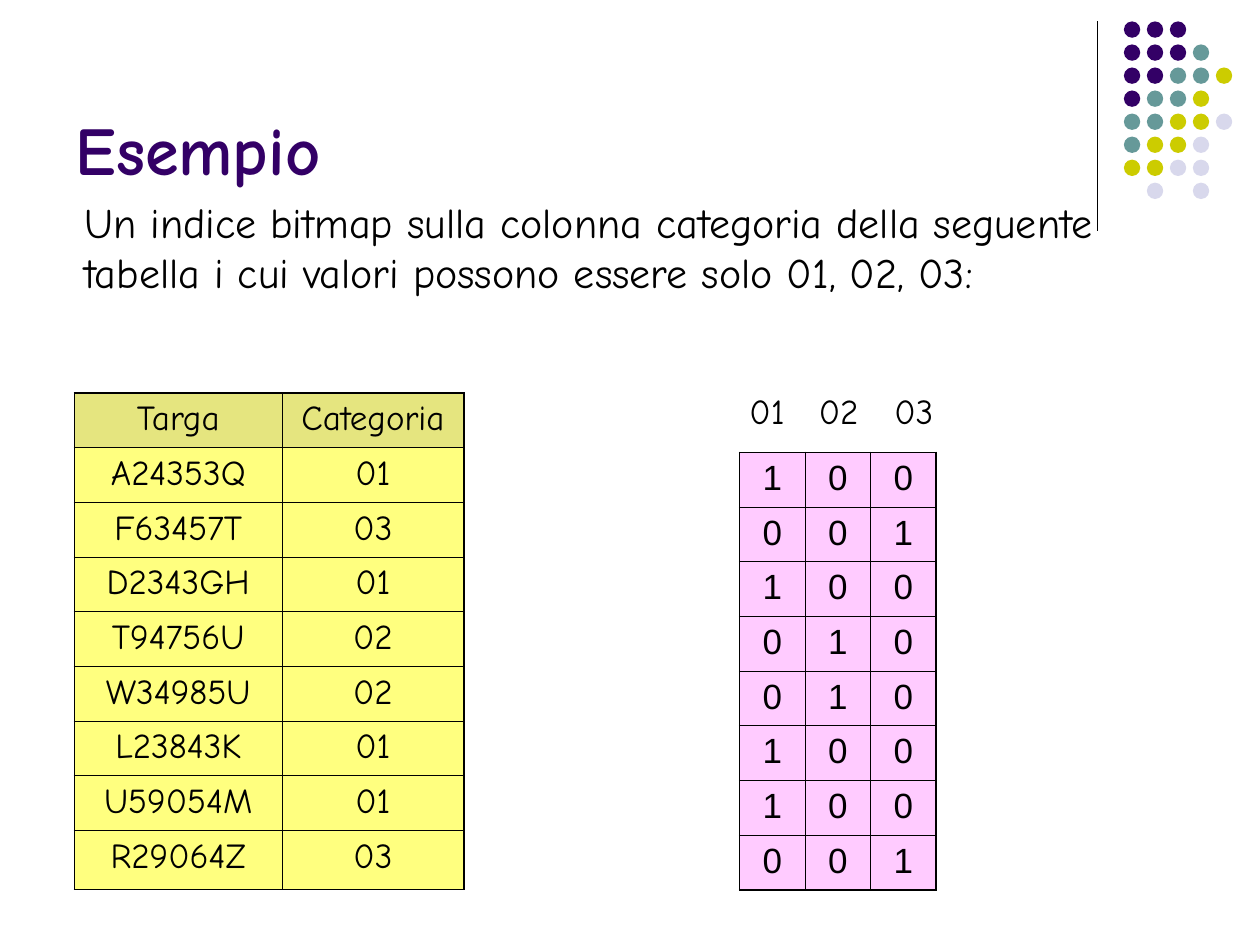
from lxml.etree import SubElement
from pptx import Presentation
from pptx.dml.color import RGBColor
from pptx.enum.shapes import MSO_CONNECTOR as Connector, MSO_SHAPE as Shape
from pptx.enum.text import MSO_ANCHOR as Anchor, PP_ALIGN as Align
from pptx.oxml.ns import qn
from pptx.util import Inches, Pt

COLORS = {
    "black": "000000", "purple": "330066", "teal": "669999", "olive": "CCCC00",
    "lavender": "D8D8EC", "yellow": "FFFF00", "pink": "FF99FF",
}
DOT_COLORS = {"P": "purple", "T": "teal", "O": "olive", "L": "lavender"}
DOT_ROWS = ["PPP", "PPPT", "PPTTO", "PTTO", "TTOOL", "TOOL", "OOLL", " L L"]
CATEGORIES = ["01", "02", "03"]
VEHICLES = [
    ("A24353Q", "01"), ("F63457T", "03"), ("D2343GH", "01"), ("T94756U", "02"),
    ("W34985U", "02"), ("L23843K", "01"), ("U59054M", "01"), ("R29064Z", "03"),
]
ROW_HEIGHT = 3.47 / len(VEHICLES)
THICK, THIN = 1.08, 0.45


def color(name):
    return RGBColor.from_string(COLORS[name])


class SlideBuilder:
    font = "Comic Neue"

    def __init__(self, slide):
        self.slide = slide

    def add_run(self, paragraph, text, size, font=None, fill="black", bold=False):
        run = paragraph.add_run()
        run.text = text
        run.font.name = font or self.font
        run.font.size = Pt(size)
        run.font.bold = bold
        run.font.color.rgb = color(fill)

    def title(self, text, left, top, width, height):
        title = self.slide.shapes.title
        title.left, title.top = Inches(left), Inches(top)
        title.width, title.height = Inches(width), Inches(height)
        title.text_frame.vertical_anchor = Anchor.BOTTOM
        paragraph = title.text_frame.paragraphs[0]
        paragraph.alignment = Align.LEFT
        self.add_run(paragraph, text, 39, fill="purple", bold=True)

    def text(self, text, left, top, width, height, size, tabs=()):
        box = self.slide.shapes.add_textbox(
            Inches(left), Inches(top), Inches(width), Inches(height))
        box.text_frame.word_wrap = True
        paragraph = box.text_frame.paragraphs[0]
        if tabs:
            box.text_frame.margin_right = 0
            tab_list = SubElement(paragraph._p.get_or_add_pPr(), qn("a:tabLst"))
            for position in tabs:
                SubElement(tab_list, qn("a:tab"), pos=str(Inches(position)), algn="l")
        self.add_run(paragraph, text, size)

    def line(self, x1, y1, x2, y2, width):
        line = self.slide.shapes.add_connector(
            Connector.STRAIGHT, Inches(x1), Inches(y1), Inches(x2), Inches(y2))
        line.line.color.rgb = color("black")
        line.line.width = Pt(width)
        SubElement(line._element.spPr, qn("a:effectLst"))

    def dots(self, rows, left, top, pitch_x, pitch_y, size):
        group = self.slide.shapes.add_group_shape()
        for row, pattern in enumerate(rows):
            for column, key in enumerate(pattern):
                if key == " ":
                    continue
                dot = group.shapes.add_shape(
                    Shape.OVAL, Inches(left + column * pitch_x),
                    Inches(top + row * pitch_y), Inches(size), Inches(size))
                dot.shadow.inherit = False
                dot.fill.solid()
                dot.fill.fore_color.rgb = color(DOT_COLORS[key])
                dot.line.fill.background()

    def table(self, rows, left, top, widths, heights, fill, header_fill=None, font=None):
        table = self.slide.shapes.add_table(
            len(rows), len(widths), Inches(left), Inches(top),
            Inches(sum(widths)), Inches(sum(heights))).table
        table.first_row = table.horz_banding = False
        for column, width in zip(table.columns, widths):
            column.width = Inches(width)
        for row, height in zip(table.rows, heights):
            row.height = Inches(height)
        last_row, last_column = len(rows) - 1, len(widths) - 1
        for r, values in enumerate(rows):
            for c, value in enumerate(values):
                cell = table.cell(r, c)
                outer_sides = {"lnL": c == 0, "lnR": c == last_column,
                               "lnT": r == 0, "lnB": r == last_row}
                self.cell_borders(cell, outer_sides)
                self.cell_fill(cell, header_fill if header_fill and r == 0 else fill)
                paragraph = cell.text_frame.paragraphs[0]
                paragraph.alignment = Align.CENTER
                self.add_run(paragraph, value, 20, font)

    def cell_borders(self, cell, outer_sides):
        properties = cell._tc.get_or_add_tcPr()
        for side, is_outer in outer_sides.items():
            width = Pt(THICK if is_outer else THIN)
            border = SubElement(properties, qn(f"a:{side}"), w=str(width))
            solid = SubElement(border, qn("a:solidFill"))
            SubElement(solid, qn("a:srgbClr"), val=COLORS["black"])

    def cell_fill(self, cell, fill):
        cell.fill.solid()
        cell.fill.fore_color.rgb = color(fill)
        solid = cell._tc.tcPr.find(qn("a:solidFill"))
        SubElement(solid.find(qn("a:srgbClr")), qn("a:alpha"), val="50000")


def main():
    presentation = Presentation()
    presentation.slide_width, presentation.slide_height = Inches(10), Inches(7.5)
    title_only = presentation.slide_layouts[5]
    builder = SlideBuilder(presentation.slides.add_slide(title_only))

    # Corner decoration
    builder.line(8.71, 0.17, 8.71, 1.83, 0.75)
    builder.dots(DOT_ROWS, 8.92, 0.17, 0.73 / 4, 1.28 / 7, 0.13)

    # Title and introduction
    builder.title("Esempio", 0.5, 0.13, 8.25, 1.42)
    builder.text("Un indice bitmap sulla colonna categoria della seguente "
                 "tabella i cui valori possono essere solo 01, 02, 03:",
                 0.57, 1.51, 8.29, 0.9, 24)

    # Bitmap index: one bit per category for each vehicle
    bitmap = [["1" if value == category else "0" for category in CATEGORIES]
              for _, value in VEHICLES]
    builder.table(bitmap, 5.87, 3.59, [0.52] * 3, [ROW_HEIGHT] * len(bitmap),
                  "pink", font="Arial")
    builder.text("\t".join(CATEGORIES), 5.85, 3.04, 1.66, 0.44, 20, tabs=(0.55, 1.15))

    # Vehicle table
    builder.table([("Targa", "Categoria")] + VEHICLES, 0.59, 3.12, [1.65, 1.44],
                  [ROW_HEIGHT] * len(VEHICLES) + [0.47], "yellow", header_fill="olive")

    presentation.save("out.pptx")


if __name__ == "__main__":
    main()
